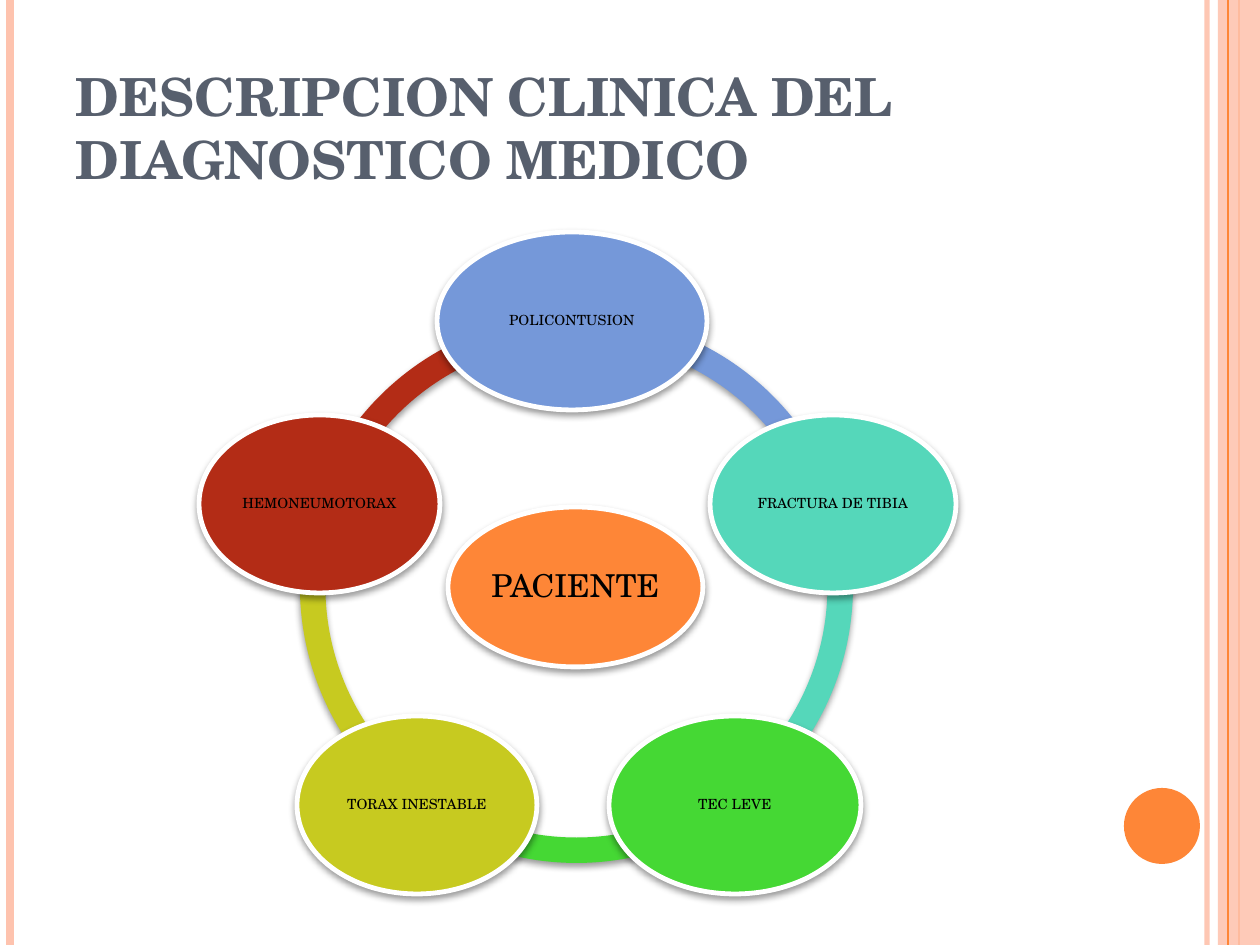
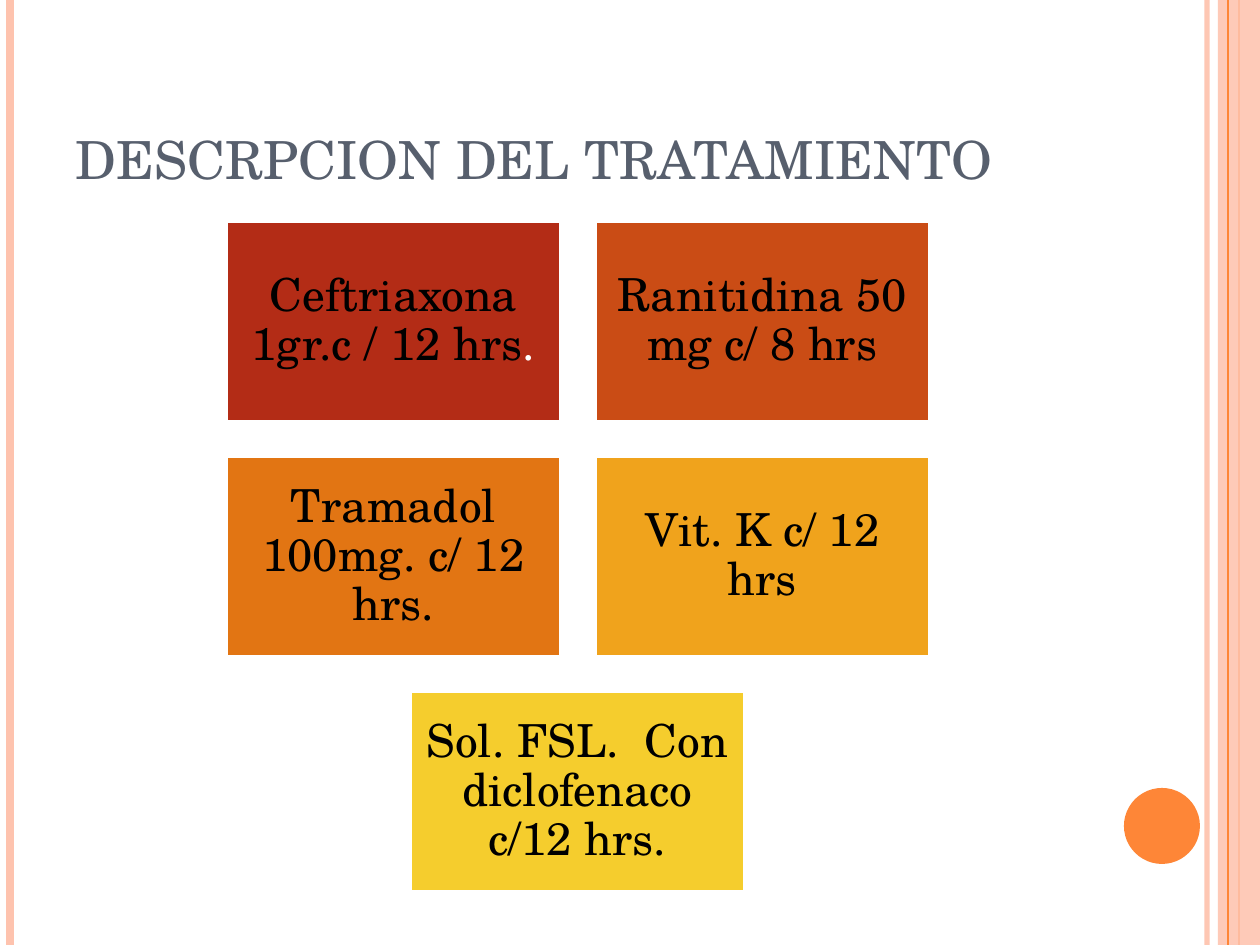
from lxml.etree import SubElement
from pptx import Presentation
from pptx.dml.color import RGBColor
from pptx.enum.shapes import MSO_CONNECTOR, MSO_SHAPE
from pptx.enum.text import MSO_ANCHOR, MSO_AUTO_SIZE, PP_ALIGN
from pptx.oxml.ns import qn
from pptx.util import Pt

EMU_PER_PX = 914400 / 126
WIDTH, HEIGHT = 1260, 945
FONT = "TeX Gyre Schola"

# Shared colours
BLACK, WHITE, SLATE = "000000", "FFFFFF", "575F6D"
ORANGE, PEACH = "FE8637", "FEC3AE"
BLUE, TEAL, GREEN, OLIVE, RED = "7598D9", "55D7BA", "45D834", "C7CA20", "B32C16"


def px(length):
    return round(length * EMU_PER_PX)


def color(hex_string):
    return RGBColor.from_string(hex_string)


def set_format(target, values):
    for name, value in values.items():
        setattr(target, name, value)


def set_alpha(element, percent):
    for srgb in element.iter(qn("a:srgbClr")):
        SubElement(srgb, qn("a:alpha"), val=str(percent * 1000))


class Deck:
    """Holds the common style and the slide being drawn."""

    def __init__(self):
        self.presentation = Presentation()
        set_format(self.presentation, {"slide_width": px(WIDTH), "slide_height": px(HEIGHT)})
        self.slide = None

    def add_slide(self, title, bold=False):
        self.slide = self.presentation.slides.add_slide(self.presentation.slide_layouts[5])
        self.decorate()
        self.title(title, bold)

    def decorate(self):
        # Side bands and the round page mark
        self.vertical_line(1207, PEACH, 3, alpha=93)
        self.vertical_line(10, PEACH, 4.5)
        self.vertical_line(1239, ORANGE, 1.5)
        band = self.shape(MSO_SHAPE.RECTANGLE, (1218, 0, 42, HEIGHT), PEACH)
        set_alpha(band._element.spPr, 87)
        self.vertical_line(1228, ORANGE, 0.75)
        self.shape(MSO_SHAPE.OVAL, (1124, 788, 76, 76), ORANGE)

    def title(self, text, bold):
        shape = self.slide.shapes.title
        set_format(shape, {"left": px(63), "top": px(38), "width": px(1029), "height": px(158)})
        self.add_text(shape, [(text, SLATE)], 30, 13, 6, bold,
                      align=PP_ALIGN.LEFT, anchor=MSO_ANCHOR.BOTTOM, spacing=1.0)

    def vertical_line(self, x, line_color, points, alpha=None):
        line = self.slide.shapes.add_connector(
            MSO_CONNECTOR.STRAIGHT, px(x), 0, px(x), px(HEIGHT))
        line.line.color.rgb = color(line_color)
        line.line.width = Pt(points)
        properties = line._element.spPr
        SubElement(properties, qn("a:effectLst"))
        if alpha:
            set_alpha(properties, alpha)

    def shape(self, kind, box, fill, outline=0, shadow=False):
        shape = self.slide.shapes.add_shape(kind, *map(px, box))
        shape.fill.solid()
        shape.fill.fore_color.rgb = color(fill)
        if outline:
            shape.line.color.rgb = color(WHITE)
            shape.line.width = Pt(outline)
        else:
            shape.line.fill.background()
        shape.shadow.inherit = False
        if shadow:
            self.cast_shadow(shape)
        return shape

    def cast_shadow(self, shape):
        effects = shape._element.spPr.find(qn("a:effectLst"))
        outer = SubElement(effects, qn("a:outerShdw"), blurRad=str(Pt(4)),
                           dist=str(Pt(2)), dir="5400000", rotWithShape="0")
        SubElement(outer, qn("a:srgbClr"), val=BLACK)
        set_alpha(outer, 40)

    def add_text(self, shape, runs, size, side, edge, bold=False, align=PP_ALIGN.CENTER,
                 anchor=MSO_ANCHOR.MIDDLE, spacing=0.9):
        frame = shape.text_frame
        set_format(frame, {
            "word_wrap": True, "auto_size": MSO_AUTO_SIZE.NONE, "vertical_anchor": anchor,
            "margin_left": px(side), "margin_right": px(side),
            "margin_top": px(edge), "margin_bottom": px(edge)})
        paragraph = frame.paragraphs[0]
        set_format(paragraph, {"alignment": align, "line_spacing": spacing})
        for text, text_color in runs:
            run = paragraph.add_run()
            run.text = text
            set_format(run.font, {"name": FONT, "size": Pt(size), "bold": bold})
            run.font.color.rgb = color(text_color)

    def ring_arc(self, box, start, sweep, fill):
        arc = self.shape(MSO_SHAPE.BLOCK_ARC, box, fill, shadow=True)
        # Angles are stored in 60000ths of a degree, adjustments in 100000ths
        for index, value in enumerate((start * 0.6, (start + sweep) % 360 * 0.6, 0.046)):
            arc.adjustments[index] = value

    def node(self, text, box, fill, size, margin):
        oval = self.shape(MSO_SHAPE.OVAL, box, fill, outline=2.75, shadow=True)
        self.add_text(oval, [(text, BLACK)], size, margin, margin)

    def card(self, runs, box, fill):
        card = self.shape(MSO_SHAPE.RECTANGLE, box, fill, outline=2)
        self.add_text(card, runs, 26, 14, 14)


def draw_diagnosis(deck):
    deck.add_slide("DESCRIPCION CLINICA DEL DIAGNOSTICO MEDICO", bold=True)

    # Ring: five equal arcs, counter-clockwise from the upper left
    sweep = 360 // 5
    arcs = [(RED, 299, 315), (OLIVE, 300, 310), (GREEN, 300, 310),
            (TEAL, 300, 310), (BLUE, 301, 315)]
    for index, (fill, left, top) in enumerate(arcs):
        deck.ring_arc((left, top, 553, 553), (198 - index * sweep) % 360, sweep, fill)

    # Patient in the centre, diagnoses around
    deck.node("PACIENTE", (448, 507, 255, 160), ORANGE, 18, 4)
    diagnoses = [
        ("POLICONTUSION", 437, 232, 270, BLUE),
        ("FRACTURA DE TIBIA", 710, 415, 246, TEAL),
        ("TEC LEVE", 609, 716, 252, GREEN),
        ("TORAX INESTABLE", 297, 716, 240, OLIVE),
        ("HEMONEUMOTORAX", 199, 415, 241, RED),
    ]
    for text, left, top, width, fill in diagnoses:
        deck.node(text, (left, top, width, 178), fill, 8, 1)


def draw_treatment(deck):
    deck.add_slide("DESCRPCION DEL TRATAMIENTO")

    # Two cards a row, the last one centred
    left, top, width, height, gap = 226, 221, 335, 201, 34
    treatments = [
        ([("Ceftriaxona 1gr.c / 12 hrs", BLACK), (".", WHITE)], RED),
        ([("Ranitidina 50 mg c/ 8 hrs", BLACK)], "CA4C15"),
        ([("Tramadol 100mg. c/ 12 hrs.", BLACK)], "E27513"),
        ([("Vit. K c/ 12 hrs", BLACK)], "F0A31C"),
        ([("Sol. FSL.  Con diclofenaco c/12 hrs.", BLACK)], "F5CD2D"),
    ]
    for index, (runs, fill) in enumerate(treatments):
        row, column = divmod(index, 2)
        if index == len(treatments) - 1:
            column = 0.5
        box = (round(left + column * (width + gap)), top + row * (height + gap), width, height)
        deck.card(runs, box, fill)


def main():
    deck = Deck()
    draw_diagnosis(deck)
    draw_treatment(deck)
    deck.presentation.save("out.pptx")


if __name__ == "__main__":
    main()
